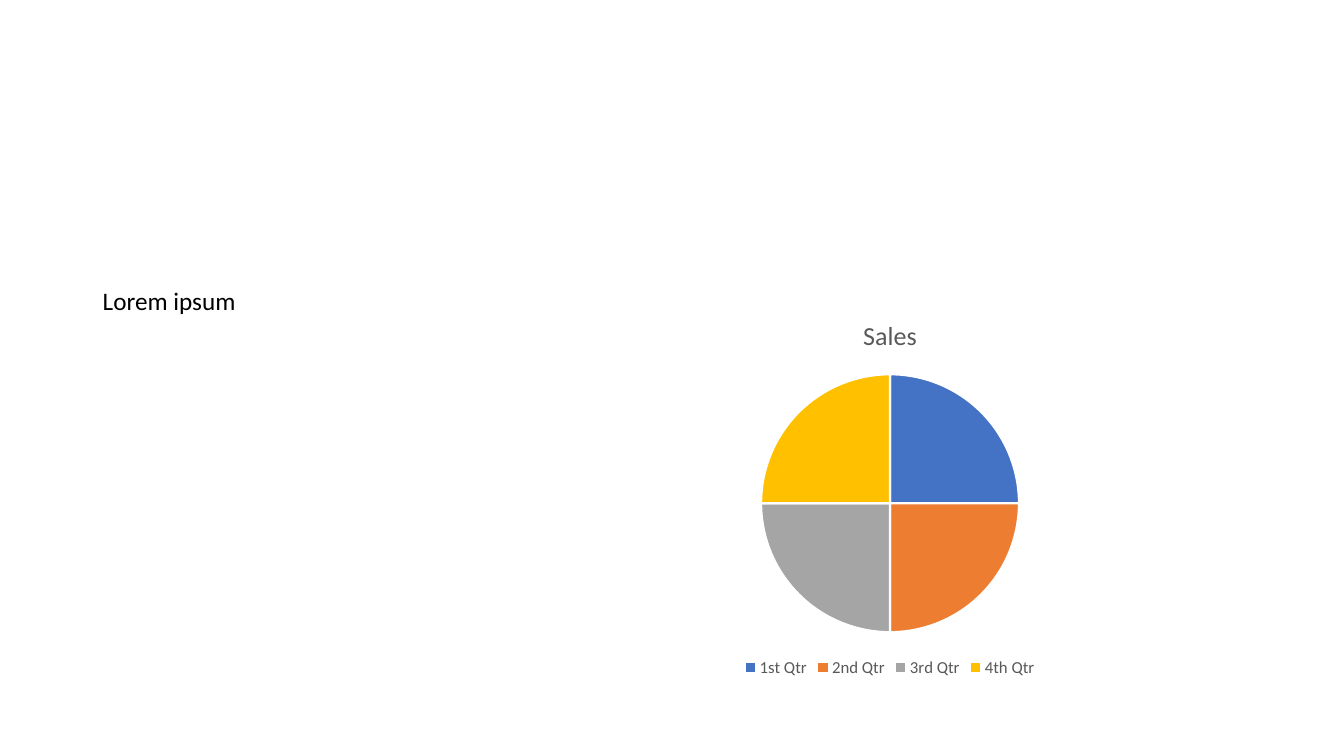
"""Build a slide with a short text and a pie chart of quarterly sales."""
from typing import NamedTuple

from pptx import Presentation
from pptx.chart.chart import Chart
from pptx.chart.data import CategoryChartData
from pptx.dml.color import RGBColor
from pptx.enum.chart import XL_CHART_TYPE, XL_LEGEND_POSITION
from pptx.enum.text import MSO_AUTO_SIZE
from pptx.slide import Slide
from pptx.text.text import Font
from pptx.util import Cm, Pt


class Slice(NamedTuple):
    """One quarter of the pie."""

    name: str
    value: int
    color: str


SLICES = [
    Slice("1st Qtr", 25, "4472C4"),
    Slice("2nd Qtr", 25, "ED7D31"),
    Slice("3rd Qtr", 25, "A5A5A5"),
    Slice("4th Qtr", 25, "FFC000"),
]
GREY = "595959"


def paint(color: str) -> RGBColor:
    """Turn a hex string into a colour."""
    return RGBColor.from_string(color)


def style(font: Font, size: float, color: str) -> None:
    """Set face, size and colour of a font."""
    font.name = "Calibri"
    font.size = Pt(size)
    font.bold = False
    font.color.rgb = paint(color)


def add_text(slide: Slide) -> None:
    """Add the text on the left."""
    box = slide.shapes.add_textbox(Cm(2.34), Cm(7.06), Cm(3.89), Cm(1.02))
    frame = box.text_frame
    frame.word_wrap = False
    frame.auto_size = MSO_AUTO_SIZE.SHAPE_TO_FIT_TEXT
    run = frame.paragraphs[0].add_run()
    run.text = "Lorem ipsum"
    style(run.font, 18, "000000")


def add_title(chart: Chart) -> None:
    """Add the chart title."""
    chart.has_title = True
    title = chart.chart_title
    title.include_in_layout = False
    run = title.text_frame.paragraphs[0].add_run()
    run.text = "Sales"
    style(run.font, 18.6, GREY)


def add_legend(chart: Chart) -> None:
    """Add the legend below the pie."""
    chart.has_legend = True
    legend = chart.legend
    legend.position = XL_LEGEND_POSITION.BOTTOM
    legend.include_in_layout = False
    style(legend.font, 12, GREY)


def add_pie(slide: Slide) -> None:
    """Add the pie chart with its coloured slices."""
    data = CategoryChartData()
    data.categories = [part.name for part in SLICES]
    data.add_series("Sales", [part.value for part in SLICES])
    chart = slide.shapes.add_chart(
        XL_CHART_TYPE.PIE, Cm(13.31), Cm(7.54), Cm(18.24), Cm(9.63), data
    ).chart
    style(chart.font, 10, "000000")
    add_title(chart)
    add_legend(chart)
    plot = chart.plots[0]
    plot.vary_by_categories = True
    for index, part in enumerate(SLICES):
        form = plot.series[0].points[index].format
        form.fill.solid()
        form.fill.fore_color.rgb = paint(part.color)
        form.line.color.rgb = paint("FFFFFF")
        form.line.width = Pt(1.5)


def main() -> None:
    """Build and save the deck."""
    deck = Presentation()
    deck.slide_width = Cm(33.87)
    deck.slide_height = Cm(19.05)
    slide = deck.slides.add_slide(deck.slide_layouts[6])
    add_pie(slide)
    add_text(slide)
    deck.save("out.pptx")


if __name__ == "__main__":
    main()
